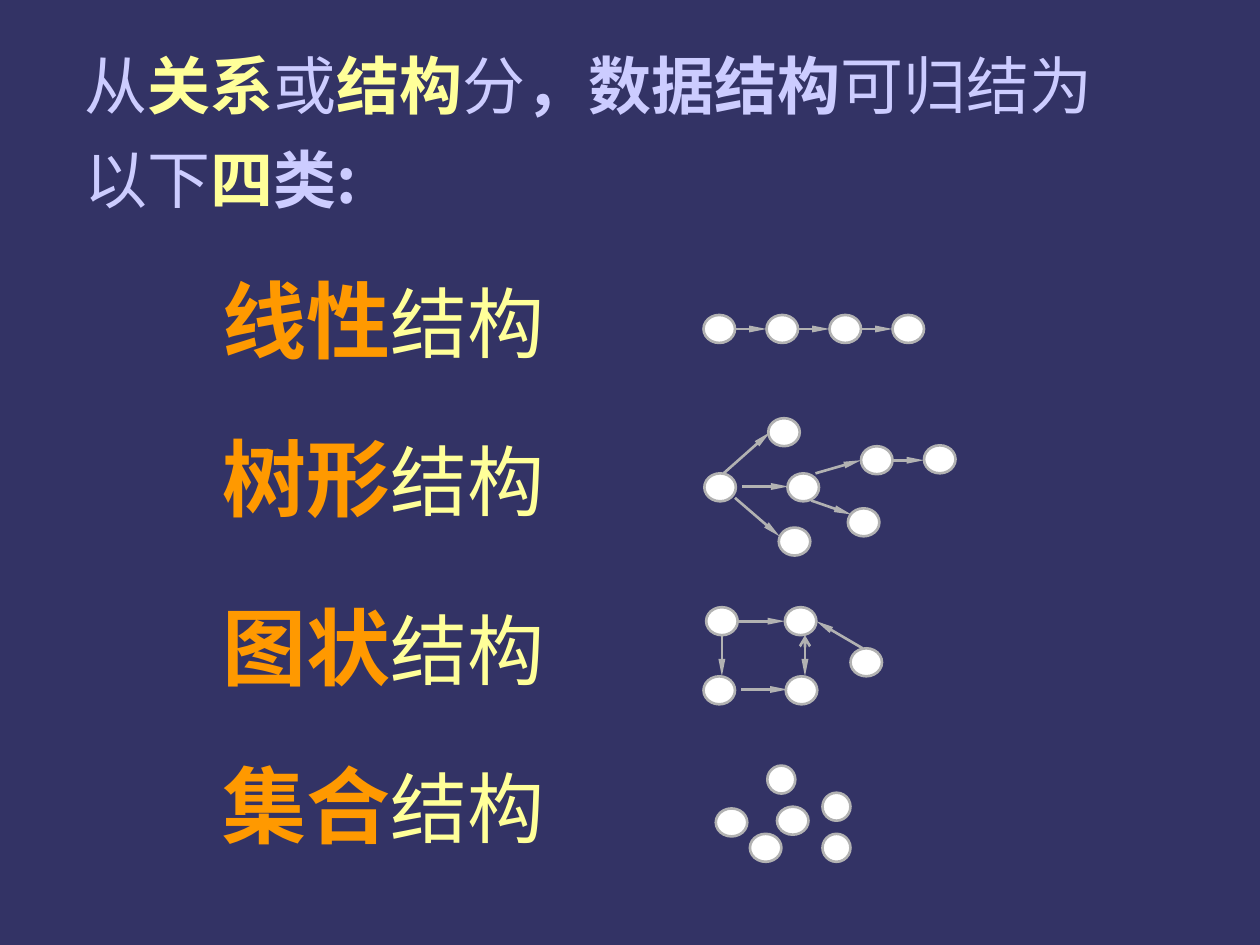
from lxml import etree
from pptx import Presentation
from pptx import util as u
from pptx.dml.color import RGBColor
from pptx.enum import shapes, text
from pptx.oxml import ns

Pt = u.Pt
NAVY = RGBColor(0x33, 0x33, 0x65)
LAVENDER = RGBColor(0xCC, 0xCC, 0xFF)
YELLOW = RGBColor(0xFF, 0xFF, 0x99)
ORANGE = RGBColor(0xFF, 0x99, 0x00)
WHITE = RGBColor(0xFF, 0xFF, 0xFF)
GREY = RGBColor(0xB2, 0xB2, 0xB2)
FONT = "Noto Sans CJK SC"
NODE_W, NODE_H, DOT = 18, 16, 16


def add_run(paragraph, wording, size, color, bold):
    run = paragraph.add_run()
    run.text = wording
    run.font.size = Pt(size)
    run.font.bold = bold
    run.font.color.rgb = color
    run.font.name = FONT
    etree.SubElement(run.font._element, ns.qn("a:ea"), typeface=FONT)


def add_arrow(diagram, x1, y1, x2, y2, two_way=False):
    arrow = diagram.shapes.add_connector(
        shapes.MSO_CONNECTOR.STRAIGHT, Pt(x1), Pt(y1), Pt(x2), Pt(y2))
    arrow.line.color.rgb = GREY
    arrow.line.width = Pt(1.5)
    outline = arrow.line._get_or_add_ln()
    if two_way:
        etree.SubElement(outline, ns.qn("a:headEnd"), type="arrow")
    etree.SubElement(outline, ns.qn("a:tailEnd"), type="triangle", w="sm", len="lg")
    etree.SubElement(arrow._element.spPr, ns.qn("a:effectLst"))


prs = Presentation()
prs.slide_width, prs.slide_height = Pt(720), Pt(540)
slide = prs.slides.add_slide(prs.slide_layouts[5])
slide.background.fill.solid()
slide.background.fill.fore_color.rgb = NAVY

heading = slide.shapes.title
heading.left, heading.top, heading.width, heading.height = Pt(41), Pt(12), Pt(625), Pt(115)
heading.text_frame.word_wrap = True
heading.text_frame.auto_size = text.MSO_AUTO_SIZE.NONE
heading.text_frame.vertical_anchor = text.MSO_ANCHOR.TOP
sentence = heading.text_frame.paragraphs[0]
sentence.alignment = text.PP_ALIGN.LEFT
sentence.line_spacing = 1.25
for wording, color, bold in [
    ("从", LAVENDER, False),
    ("关系", YELLOW, True),
    ("或", LAVENDER, False),
    ("结构", YELLOW, True),
    ("分", LAVENDER, False),
    ("，数据结构", LAVENDER, True),
    ("可归结为以下", LAVENDER, False),
    ("四", YELLOW, True),
    ("类:", LAVENDER, True),
]:
    add_run(sentence, wording, 36, color, bold)

for kind, top in [("线性", 150), ("树形", 240), ("图状", 337), ("集合", 427)]:
    label = slide.shapes.add_textbox(Pt(120), Pt(top), Pt(204), Pt(65))
    label.text_frame.word_wrap = False
    line = label.text_frame.paragraphs[0]
    line.alignment = text.PP_ALIGN.LEFT
    add_run(line, kind, 48, ORANGE, True)
    add_run(line, "结构", 44, YELLOW, False)

linear_nodes = [(402 + 36 * i, 180, NODE_W) for i in range(4)]
linear_arrows = [(x + NODE_W, 188, x + 36, 188) for x, _, _ in linear_nodes[:-1]]

tree_nodes = [(x, y, NODE_W) for x, y in [
    (402.5, 270.5), (439, 239), (450, 270.5), (445, 301.5),
    (492, 255), (484.5, 290.5), (528, 254.5)]]
tree_arrows = [
    (424, 278, 450.5, 278), (413.5, 270.5, 440, 247), (420, 284.5, 445.5, 306.5),
    (466, 270.5, 492, 263), (463.5, 286, 486.5, 294), (510, 263, 528, 263)]

graph_nodes = [(x, y, NODE_W) for x, y in [
    (402, 386.5), (403.5, 347), (449, 386.5), (448.5, 347), (486, 370.5)]]
graph_arrows = [
    (423.5, 394, 450, 394), (421.5, 355, 448.5, 355), (412.5, 363, 412.5, 386.5),
    (460, 363, 460, 386.5, True), (493, 370.5, 466.5, 355)]

set_nodes = [
    (444, 461, NODE_W), (428.5, 476.5, NODE_W), (409, 462, NODE_W),
    (470, 476.5, DOT), (470, 453, DOT), (438.5, 437.5, DOT)]

for nodes, arrows in [
    (linear_nodes, linear_arrows),
    (tree_nodes, tree_arrows),
    (graph_nodes, graph_arrows),
    (set_nodes, []),
]:
    diagram = slide.shapes.add_group_shape()
    for x, y, width in nodes:
        node = diagram.shapes.add_shape(
            shapes.MSO_SHAPE.OVAL, Pt(x), Pt(y), Pt(width), Pt(NODE_H))
        node.shadow.inherit = False
        node.fill.solid()
        node.fill.fore_color.rgb = WHITE
        node.line.color.rgb = GREY
        node.line.width = Pt(1.5)
    for arrow in arrows:
        add_arrow(diagram, *arrow)

prs.save("out.pptx")
